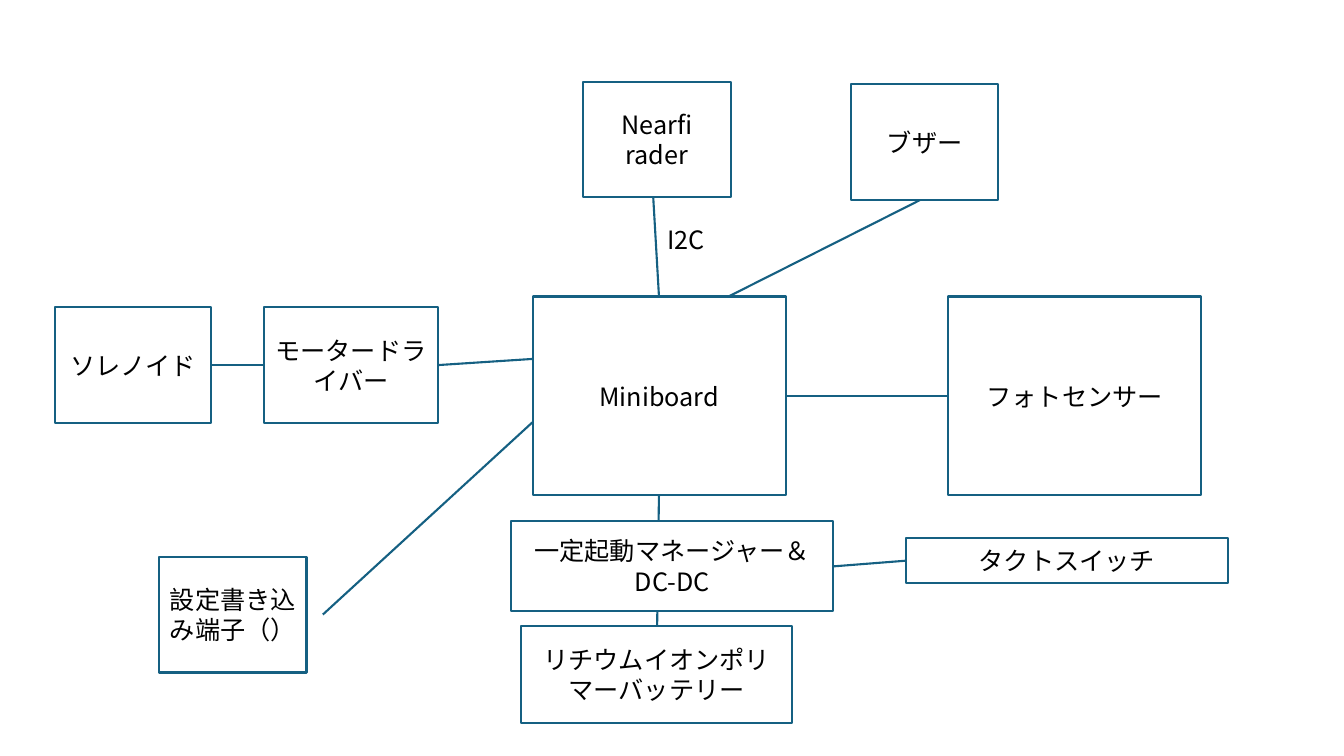
from lxml.etree import SubElement
from pptx import Presentation
from pptx.dml.color import RGBColor
from pptx.enum.shapes import MSO_CONNECTOR, MSO_SHAPE
from pptx.enum.text import MSO_ANCHOR, MSO_AUTO_SIZE, PP_ALIGN
from pptx.oxml.ns import qn
from pptx.util import Pt

FONT = "Noto Sans CJK JP"
BLUE = RGBColor(0x15, 0x60, 0x82)
BLACK = RGBColor(0, 0, 0)
WHITE = RGBColor(255, 255, 255)

SMALL = (105.4, 82.6)
LARGE = (181, 142)
WIDE = 229.8

WIRES = [
    (466.6, 140.6, 470.7, 211.7),
    (561.4, 282.8, 677.5, 282.8),
    (312.7, 260.8, 380.2, 256.4),
    (151, 260.8, 188.6, 260.8),
    (470.7, 353.7, 469.4, 447),
    (594.8, 404.6, 647.3, 400.5),
    (657.4, 142.8, 520.6, 211.7),
    (230.6, 439, 380.2, 301.8),
]

PARTS = [
    ("Miniboard", 380.4, 211.8, *LARGE),
    ("フォトセンサー", 677.2, 211.8, *LARGE),
    ("Nearfi rader", 416.6, 58.4, *SMALL),
    ("ブザー", 607.8, 60.3, *SMALL),
    ("設定書き込み端子（）", 113.6, 397.8, *SMALL),
    ("ソレノイド", 39.2, 219.6, 111.8, SMALL[1]),
    ("モータードライバー", 188.6, 219.6, 124.2, SMALL[1]),
    ("一定起動マネージャー＆DC-DC", 365.2, 372.2, WIDE, 64.2),
    ("タクトスイッチ", 647.2, 384.4, WIDE, 32),
    ("リチウムイオンポリマーバッテリー", 372.2, 447.2, 193.8, 69.2),
]


def write(tf, text, align):
    """Put one paragraph of text into a frame."""
    tf.word_wrap = True
    p = tf.paragraphs[0]
    p.text = text
    p.alignment = align
    p.font.size = Pt(18)
    p.font.color.rgb = BLACK
    p.font.name = FONT
    SubElement(p._p.pPr.find(qn("a:defRPr")), qn("a:ea"), typeface=FONT)


def add_part(slide, text, *box):
    """Draw a component as an outlined box with centred text."""
    s = slide.shapes.add_shape(MSO_SHAPE.RECTANGLE, *map(Pt, box))
    s.shadow.inherit = False
    s.fill.solid()
    s.fill.fore_color.rgb = WHITE
    s.line.color.rgb = BLUE
    s.line.width = Pt(1.5)
    s.text_frame.vertical_anchor = MSO_ANCHOR.MIDDLE
    write(s.text_frame, text, PP_ALIGN.CENTER)


def add_wire(slide, *ends):
    """Draw a straight line between two points."""
    s = slide.shapes.add_connector(MSO_CONNECTOR.STRAIGHT, *map(Pt, ends))
    s.line.color.rgb = BLUE
    s.line.width = Pt(1.5)
    SubElement(s._element.spPr, qn("a:effectLst"))


def add_label(slide, text, *box):
    """Add a plain text label."""
    s = slide.shapes.add_textbox(*map(Pt, box))
    s.text_frame.auto_size = MSO_AUTO_SIZE.SHAPE_TO_FIT_TEXT
    write(s.text_frame, text, PP_ALIGN.LEFT)


def main():
    """Build the block diagram and save it."""
    prs = Presentation()
    prs.slide_width, prs.slide_height = Pt(960), Pt(540)
    slide = prs.slides.add_slide(prs.slide_layouts[6])
    for wire in WIRES:
        add_wire(slide, *wire)
    for part in PARTS:
        add_part(slide, *part)
    add_label(slide, "I2C", 469.4, 156.4, 52.6, 29)
    prs.save("out.pptx")


if __name__ == "__main__":
    main()
